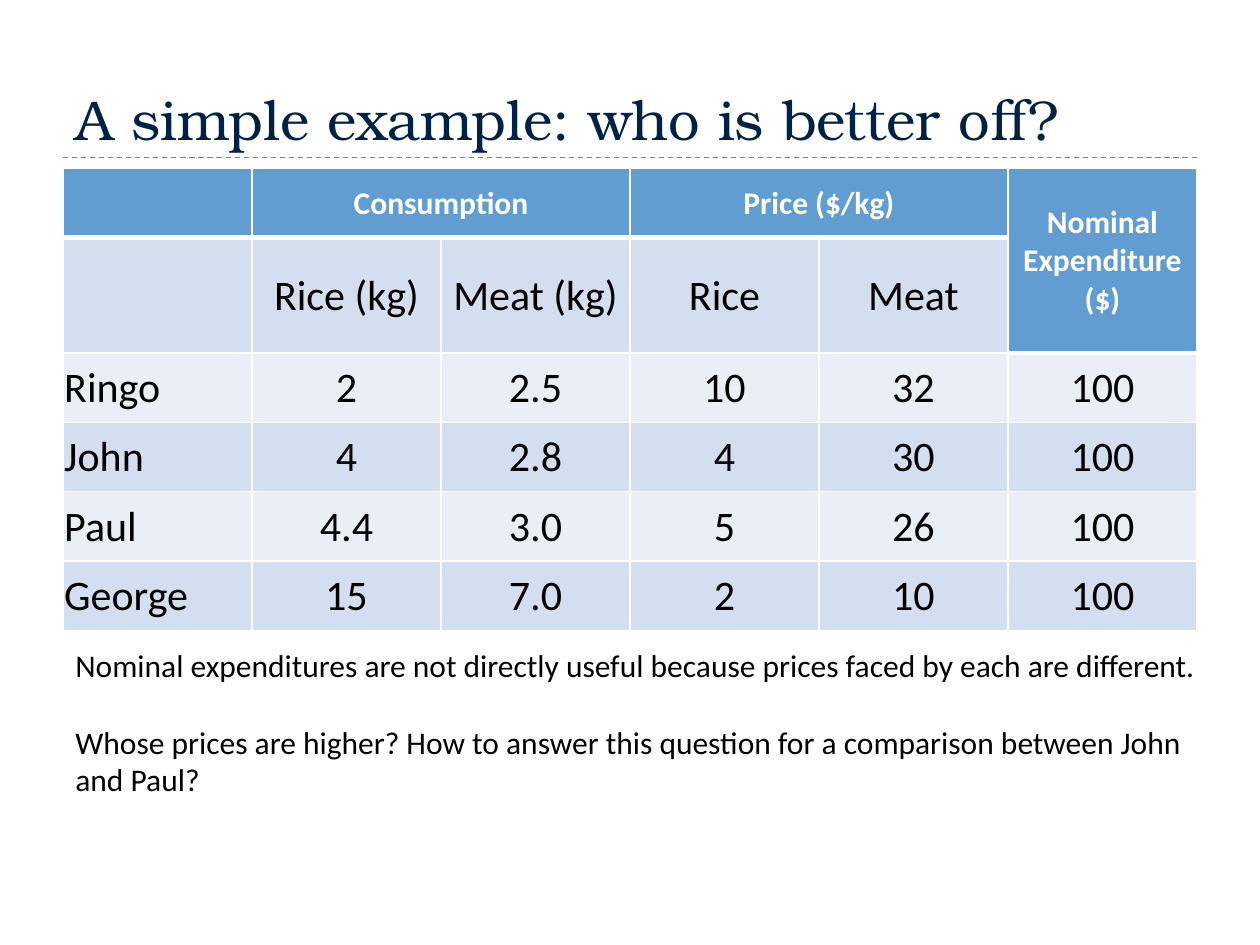
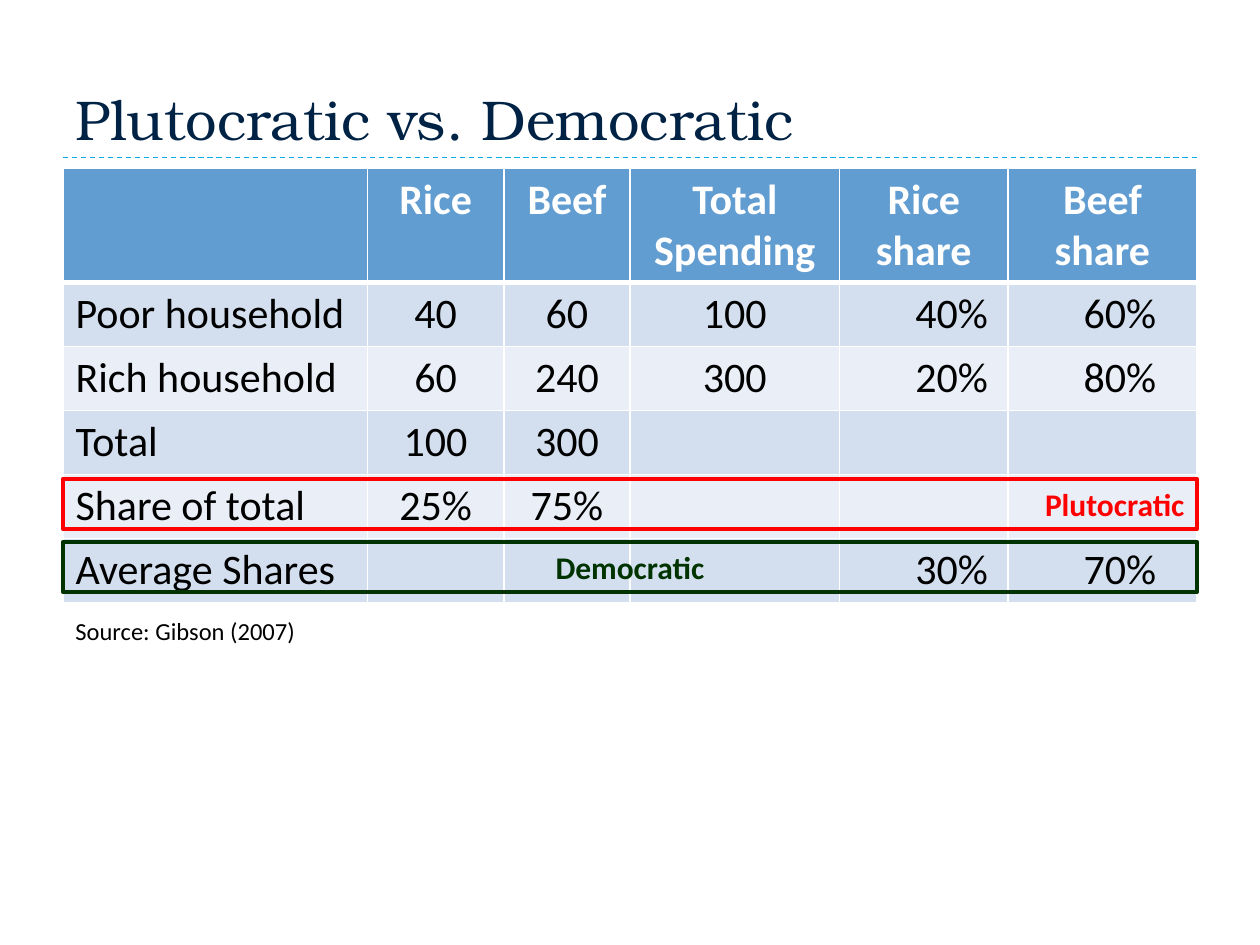
from dataclasses import dataclass

from lxml import etree
from pptx import Presentation
from pptx.dml.color import RGBColor
from pptx.enum.dml import MSO_LINE
from pptx.enum.shapes import MSO_CONNECTOR, MSO_SHAPE
from pptx.enum.text import MSO_ANCHOR, PP_ALIGN
from pptx.oxml.ns import qn
from pptx.util import Inches, Pt

LEFT, MID, RIGHT = PP_ALIGN.LEFT, PP_ALIGN.CENTER, PP_ALIGN.RIGHT
TOP, CENTER, BOTTOM = MSO_ANCHOR.TOP, MSO_ANCHOR.MIDDLE, MSO_ANCHOR.BOTTOM
DASH, RECT, LINE = MSO_LINE.DASH, MSO_SHAPE.RECTANGLE, MSO_CONNECTOR.STRAIGHT

WIDE, HIGH = Inches(10), Inches(7.5)
COL, ROW = WIDE // 20, HIGH // 30
BODY, SERIF = "Calibri", "TeX Gyre Bonum"
THIN, THICK = 1, 3
HUES = {
    "navy": "002345", "rule": "00ADE4", "head": "629DD1",
    "dark": "D3DFEE", "pale": "EAEFF7", "white": "FFFFFF",
    "black": "000000", "red": "FF0000", "green": "003300",
}


@dataclass(frozen=True)
class Box:
    col: float
    row: float
    cols: float
    rows: float

    def place(self) -> tuple[int, int, int, int]:
        return (round(self.col * COL), round(self.row * ROW),
                round(self.cols * COL), round(self.rows * ROW))


@dataclass(frozen=True)
class Font:
    size: int
    hue: str = "black"
    bold: bool = False
    face: str = BODY


@dataclass(frozen=True)
class Grid:
    box: Box
    cols: tuple
    rows: tuple
    data: tuple
    depth: tuple
    head: Font
    anchor: MSO_ANCHOR
    pad: tuple | None = None
    spans: tuple = ()
    inset: tuple = ()


@dataclass(frozen=True)
class Frame:
    box: Box
    text: str
    hue: str
    align: PP_ALIGN


def tint(name: str) -> RGBColor:
    return RGBColor.from_string(HUES[name])


def write(para, text: str, font: Font, align: PP_ALIGN = LEFT) -> None:
    para.alignment = align
    if not text:
        return
    run = para.add_run()
    run.text = text
    run.font.name = font.face
    run.font.size = Pt(font.size)
    run.font.bold = font.bold
    run.font.color.rgb = tint(font.hue)


def add_text(slide, box: Box, lines: tuple, font: Font,
             anchor: MSO_ANCHOR = TOP, gap: int = 0) -> None:
    frame = slide.shapes.add_textbox(*box.place()).text_frame
    frame.word_wrap = True
    frame.vertical_anchor = anchor
    for i, line in enumerate(lines):
        para = frame.add_paragraph() if i else frame.paragraphs[0]
        para.space_before = Pt(gap if i else 0)
        write(para, line, font)


def add_edge(cell, side: str, width: int) -> None:
    edge = etree.SubElement(cell._tc.get_or_add_tcPr(), qn(f"a:ln{side}"),
                            w=str(Pt(width)))
    fill = etree.SubElement(edge, qn("a:solidFill"))
    etree.SubElement(fill, qn("a:srgbClr"), val=HUES["white"])


def add_grid(slide, grid: Grid) -> None:
    table = slide.shapes.add_table(len(grid.rows), len(grid.cols),
                                   *grid.box.place()).table
    for part, size in zip(table.columns, grid.cols):
        part.width = round(size * COL)
    for part, size in zip(table.rows, grid.rows):
        part.height = round(size * ROW)
    for top, left, low, right in grid.spans:
        table.cell(top, left).merge(table.cell(low, right))
    for r, line in enumerate(grid.data):
        for c, text in enumerate(line):
            fill_cell(table.cell(r, c), grid, r, c, text)


def fill_cell(cell, grid: Grid, r: int, c: int, text: str) -> None:
    head = r < grid.depth[c]
    edges = {"L": THIN, "R": THIN,
             "T": THICK if r == grid.depth[c] else THIN,
             "B": THICK if head else THIN}
    for side, width in edges.items():
        add_edge(cell, side, width)
    cell.fill.solid()
    cell.fill.fore_color.rgb = tint("head" if head else "dark" if r % 2 else "pale")
    cell.vertical_anchor = grid.anchor
    if grid.pad:
        (cell.margin_left, cell.margin_top,
         cell.margin_right, cell.margin_bottom) = map(Inches, grid.pad)
    para = cell.text_frame.paragraphs[0]
    shift = not head and c in grid.inset
    align = LEFT if shift or c == 0 else MID
    write(para, text, grid.head if head else Font(24), align)
    if shift:
        para._p.get_or_add_pPr().set("marL", str(COL))


def add_frame(slide, item: Frame) -> None:
    shape = slide.shapes.add_shape(RECT, *item.box.place())
    shape.shadow.inherit = False
    shape.fill.background()
    shape.line.color.rgb = tint(item.hue)
    shape.line.width = Pt(2.25)
    shape.text_frame.word_wrap = True
    shape.text_frame.vertical_anchor = TOP
    write(shape.text_frame.paragraphs[0], item.text,
          Font(18, item.hue, True), item.align)


def add_slide(deck, title: str):
    slide = deck.slides.add_slide(deck.slide_layouts[6])
    rule = slide.shapes.add_connector(LINE, COL, 5 * ROW, 19 * COL, 5 * ROW)
    rule.line.color.rgb = tint("rule")
    rule.line.width = Pt(0.75)
    rule.line.dash_style = DASH
    etree.SubElement(rule._element.spPr, qn("a:effectLst"))
    add_text(slide, Box(1, 0.68, 18, 4.32), (title,),
             Font(32, "navy", face=SERIF), BOTTOM)
    return slide


PRICES = Grid(
    box=Box(1, 5.33, 18, 14.68),
    cols=(3,) * 6,
    rows=(2.2, 3.68) + (2.2,) * 4,
    data=(
        ("", "Consumption", "", "Price ($/kg)", "", "Nominal Expenditure ($)"),
        ("", "Rice (kg)", "Meat (kg)", "Rice", "Meat", ""),
        ("Ringo", "2", "2.5", "10", "32", "100"),
        ("John", "4", "2.8", "4", "30", "100"),
        ("Paul", "4.4", "3.0", "5", "26", "100"),
        ("George", "15", "7.0", "2", "10", "100"),
    ),
    depth=(1, 1, 1, 1, 1, 2),
    head=Font(18, "white", True),
    anchor=CENTER,
    pad=(0.01, 0.01, 0.01, 0),
    spans=((0, 1, 0, 2), (0, 3, 0, 4), (0, 5, 1, 5)),
)
SHARES = Grid(
    box=Box(1, 5.33, 18, 13.79),
    cols=(4.83, 2.17, 2, 3.33, 2.67, 3),
    rows=(3.64,) + (2.03,) * 5,
    data=(
        ("", "Rice", "Beef", "Total Spending", "Rice share", "Beef share"),
        ("Poor household", "40", "60", "100", "40%", "60%"),
        ("Rich household", "60", "240", "300", "20%", "80%"),
        ("Total", "100", "300", "", "", ""),
        ("Share of total", "25%", "75%", "", "", ""),
        ("Average Shares", "", "", "", "30%", "70%"),
    ),
    depth=(1,) * 6,
    head=Font(24, "white", True),
    anchor=TOP,
    inset=(4, 5),
)
FRAMES = (
    Frame(Box(1, 15.2, 18, 1.6), "Plutocratic", "red", RIGHT),
    Frame(Box(1, 17.2, 18, 1.6), "Democratic", "green", MID),
)
NOTES = (
    "Nominal expenditures are not directly useful because prices faced by each are different.",
    "Whose prices are higher? How to answer this question for a comparison between John and Paul?",
)


def main() -> None:
    deck = Presentation()
    deck.slide_width, deck.slide_height = WIDE, HIGH

    slide = add_slide(deck, "A simple example: who is better off?")
    add_grid(slide, PRICES)
    add_text(slide, Box(1, 20.32, 18.5, 5.24), NOTES, Font(18), gap=22)

    slide = add_slide(deck, "Plutocratic vs. Democratic")
    add_grid(slide, SHARES)
    for item in FRAMES:
        add_frame(slide, item)
    add_text(slide, Box(1, 19.36, 6.16, 1.36), ("Source: Gibson (2007)",), Font(14))

    deck.save("out.pptx")


if __name__ == "__main__":
    main()
